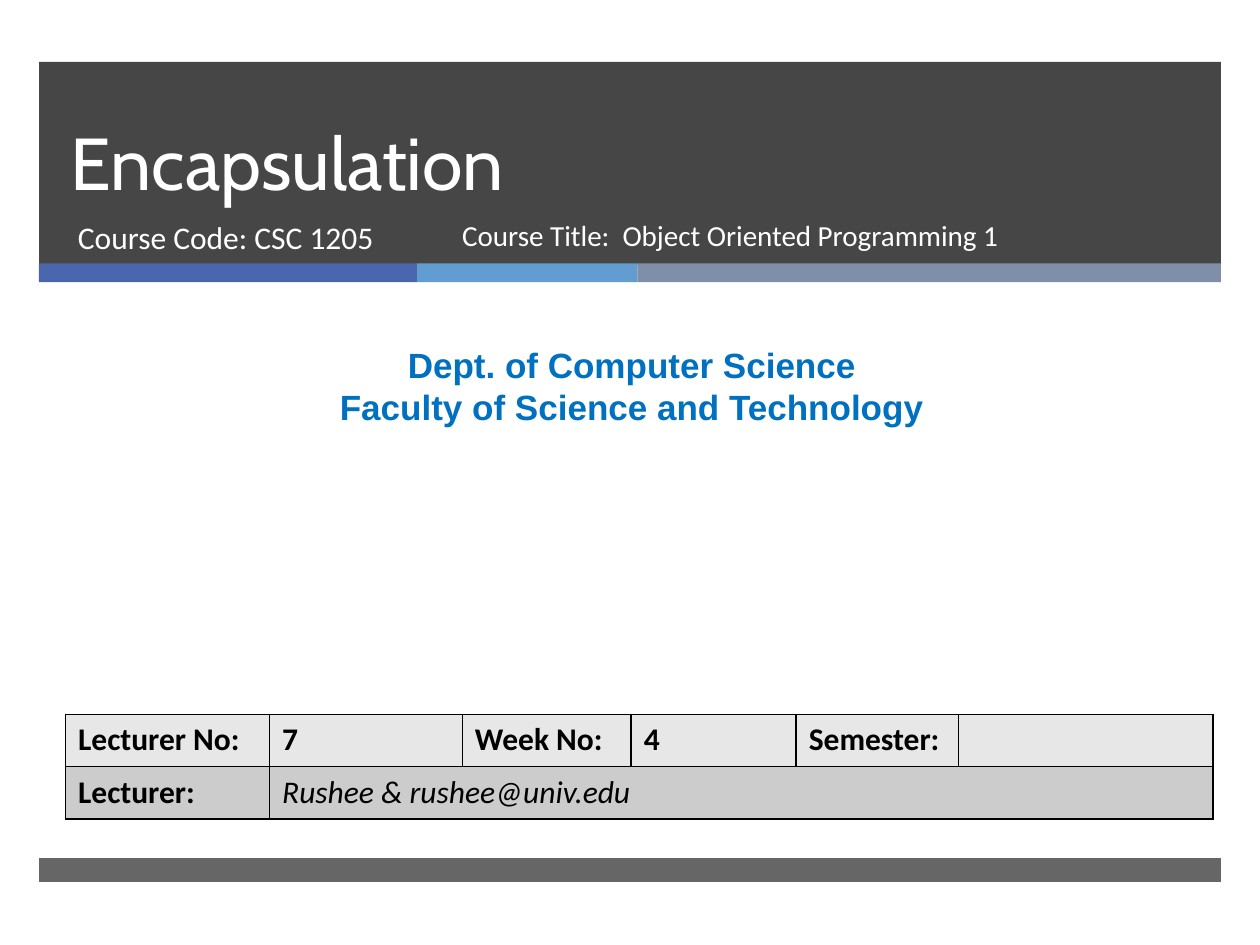
from dataclasses import dataclass

from lxml import etree
from pptx import Presentation
from pptx.dml.color import RGBColor
from pptx.enum.shapes import MSO_SHAPE
from pptx.enum.text import MSO_ANCHOR, MSO_AUTO_SIZE, PP_ALIGN
from pptx.oxml.ns import qn
from pptx.util import Inches, Pt

RECT = MSO_SHAPE.RECTANGLE
TOP, MIDDLE, BOTTOM = MSO_ANCHOR.TOP, MSO_ANCHOR.MIDDLE, MSO_ANCHOR.BOTTOM
LEFT, CENTER = PP_ALIGN.LEFT, PP_ALIGN.CENTER
NO_FIT = MSO_AUTO_SIZE.NONE
TITLE_ONLY = 5


@dataclass(frozen=True)
class Theme:
    dark: str = "262626"
    accents: tuple = ("4A66AC", "629DD1", "7F8FA9")
    light: str = "FFFFFF"
    dept: str = "0070C0"
    ink: str = "000000"
    rows: tuple = ("E7E7E7", "CCCCCC")
    title_font: str = "Cabin"
    dept_font: str = "Arial"
    body_font: str = "Calibri"
    title_size: float = 42
    dept_size: float = 20
    body_size: float = 18
    course_size: float = 16.6


THEME = Theme()


def style(p, name, size, color, bold=False, italic=False, align=LEFT):
    p.alignment = align
    f = p.font
    f.name, f.size, f.bold, f.italic = name, Pt(size), bold, italic
    f.color.rgb = RGBColor.from_string(color)


def add_bar(s, x, y, w, h, color, opacity=100):
    sp = s.shapes.add_shape(RECT, Inches(x), Inches(y), Inches(w), Inches(h))
    sp.shadow.inherit = False
    sp.line.fill.background()
    sp.fill.solid()
    sp.fill.fore_color.rgb = RGBColor.from_string(color)
    if opacity < 100:
        clr = sp.fill._xPr.find(".//" + qn("a:srgbClr"))
        etree.SubElement(clr, qn("a:alpha"), val=str(opacity * 1000))


def add_text(s, x, y, w, h, lines, **font):
    tf = s.shapes.add_textbox(Inches(x), Inches(y), Inches(w), Inches(h)).text_frame
    tf.word_wrap = True
    tf.vertical_anchor = TOP
    tf.text = "\n".join(lines)
    for p in tf.paragraphs:
        style(p, **font)


def place_title(s, x, y, w, h, text):
    title = s.shapes.title
    title.left, title.top = Inches(x), Inches(y)
    title.width, title.height = Inches(w), Inches(h)
    # Bring the title in front of the banner
    s.shapes._spTree.append(title._element)
    tf = title.text_frame
    tf.text = text
    tf.auto_size = NO_FIT
    tf.vertical_anchor = BOTTOM
    p = tf.paragraphs[0]
    p.line_spacing = Pt(46)
    style(p, THEME.title_font, THEME.title_size, THEME.light)


def add_header(s, x, y, w, h):
    # Dark banner with a strip of three accents along its foot
    add_bar(s, x, y, w, h, THEME.dark, 85)
    left = x
    for width, color in zip((3, 1.75, w - 4.75), THEME.accents):
        add_bar(s, left, y + h - 0.01, width, 0.15, color)
        left += width

    # Title and course details
    place_title(s, x + 0.15, y, 8.54, 1.19, "Encapsulation")
    details = (
        (0.21, 3.05, "Course Code: CSC 1205", THEME.body_size),
        (3.26, 4.61, "Course Title:  Object Oriented Programming 1", THEME.course_size),
    )
    for dx, width, text, size in details:
        add_text(s, x + dx, y + 1.19, width, 0.53, [text],
                 name=THEME.body_font, size=size, color=THEME.light)


def set_borders(cell, color, width=1):
    tcPr = cell._tc.get_or_add_tcPr()
    for i, side in enumerate(("lnL", "lnR", "lnT", "lnB")):
        ln = etree.Element(qn("a:" + side), w=str(Pt(width)))
        fill = etree.SubElement(ln, qn("a:solidFill"))
        etree.SubElement(fill, qn("a:srgbClr"), val=color)
        tcPr.insert(i, ln)


def add_lecture_table(s, x, y, w, h):
    rows = (
        ("Lecturer No:", "7", "Week No:", "4", "Semester:", ""),
        ("Lecturer:", "Rushee & rushee@univ.edu", "", "", "", ""),
    )
    widths = (1.62, 1.53, 1.34, 1.31, 1.29, 2.02)
    table = s.shapes.add_table(len(rows), len(widths), Inches(x), Inches(y),
                               Inches(w), Inches(h)).table
    for col, width in zip(table.columns, widths):
        col.width = Inches(width)
    for r, (texts, color) in enumerate(zip(rows, THEME.rows)):
        for c, text in enumerate(texts):
            cell = table.cell(r, c)
            cell.text = text
            cell.vertical_anchor = TOP
            cell.fill.solid()
            cell.fill.fore_color.rgb = RGBColor.from_string(color)
            set_borders(cell, THEME.ink)
            is_lecturer = (r, c) == (1, 1)
            style(cell.text_frame.paragraphs[0], THEME.body_font, THEME.body_size,
                  THEME.ink, bold=not is_lecturer, italic=is_lecturer)
    table.cell(1, 1).merge(table.cell(1, 5))


def main():
    prs = Presentation()
    prs.slide_width, prs.slide_height = Inches(10), Inches(7.5)
    s = prs.slides.add_slide(prs.slide_layouts[TITLE_ONLY])

    add_header(s, 0.31, 0.49, 9.38, 1.61)
    # Department
    add_text(s, 0.08, 2.68, 9.87, 0.77,
             ["Dept. of Computer Science", "Faculty of Science and Technology"],
             name=THEME.dept_font, size=THEME.dept_size, color=THEME.dept,
             bold=True, align=CENTER)
    add_lecture_table(s, 0.52, 5.67, 9.12, 0.83)
    # Footer
    add_bar(s, 0.31, 6.81, 9.38, 0.19, THEME.dark, 70)

    prs.save("out.pptx")


if __name__ == "__main__":
    main()
